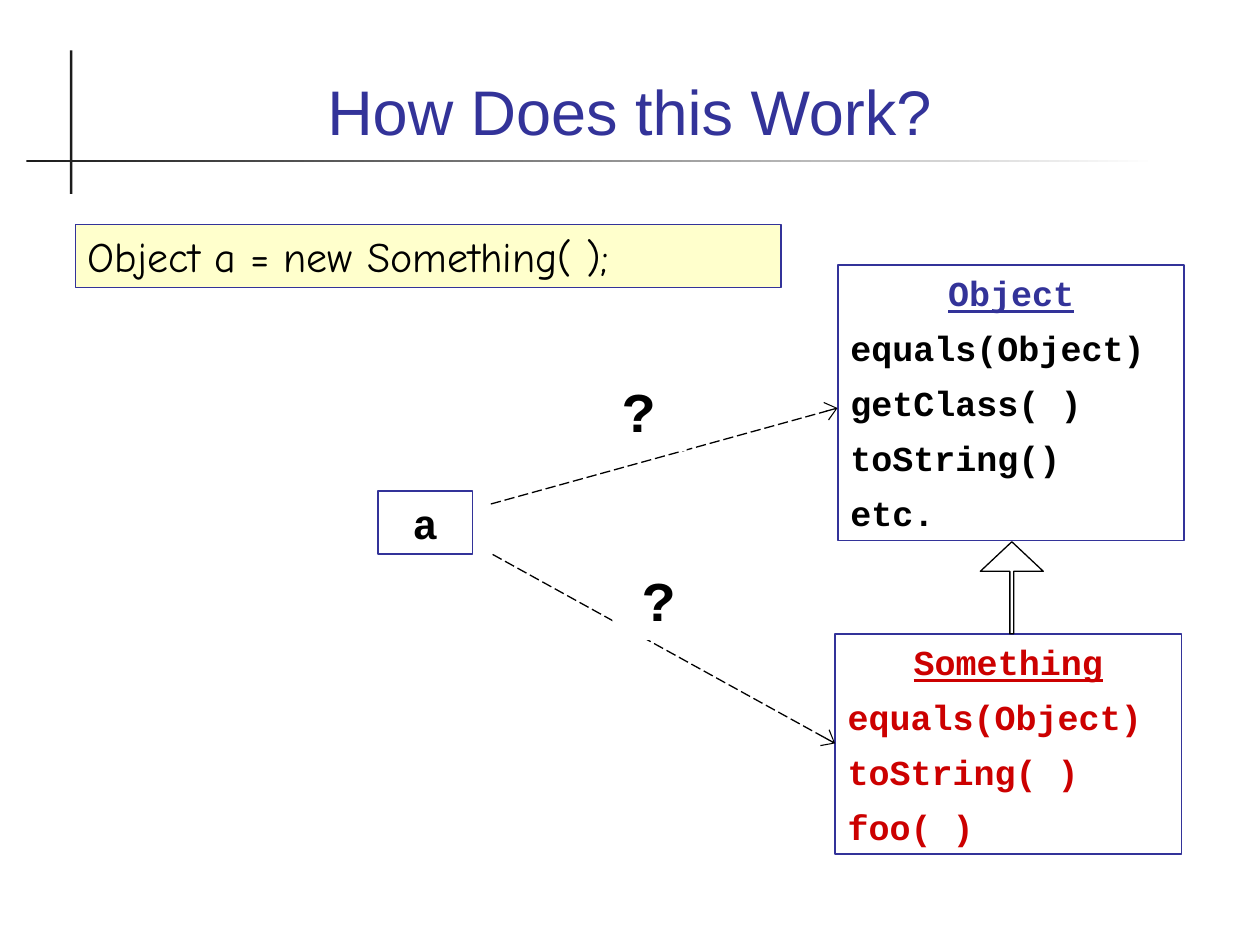
from dataclasses import dataclass

from lxml import etree
from pptx import Presentation
from pptx import util as u
from pptx.dml.color import RGBColor
from pptx.enum import dml, shapes, text
from pptx.oxml.ns import qn

NAVY, RED, BLACK, WHITE = "333399", "CC0000", "000000", "FFFFFF"
DARK, CREAM = "1C1C1C", "FFFFCC"
MONO = "Courier New"


@dataclass
class Box:
    left: float
    top: float
    width: float
    height: float
    lines: list[str]
    size: float
    color: str = BLACK
    head: str = ""  # colour of an underlined heading, if any
    edge: str = NAVY
    fill: str = WHITE
    font: str = MONO
    weight: float = 1
    center: bool = True


@dataclass
class Link:
    x1: float
    y1: float
    x2: float
    y2: float


BOXES = [
    Box(478.8, 151.4, 198, 157.5,
        ["Object", "equals(Object)", "getClass( )", "toString()", "etc."],
        20, head=NAVY),
    Box(477.2, 362.2, 198, 126,
        ["Something", "equals(Object)", "toString( )", "foo( )"],
        20, color=RED, head=RED),
    Box(43.2, 128.2, 403.2, 36, ["Object a = new Something( );"], 24,
        fill=CREAM, font="Comic Neue", weight=0.75, center=False),
    Box(216, 280.8, 54, 36, ["a"], 24),
]
LINKS = [Link(280.5, 288, 478.6, 233.2), Link(281.5, 316.8, 477.2, 424.8)]
MARKS = [Box(left, top, 54, 46, ["?"], 32, edge="")
         for left, top in ((338.4, 211.7), (349.9, 319.7))]


def rgb(code: str) -> RGBColor:
    return RGBColor.from_string(code)


def add_shape(slide, kind, left, top, width, height,
              fill: str = WHITE, edge: str = "", weight: float = 0.75):
    shape = slide.shapes.add_shape(
        kind, u.Pt(left), u.Pt(top), u.Pt(width), u.Pt(height))
    shape.shadow.inherit = False
    shape.fill.solid()
    shape.fill.fore_color.rgb = rgb(fill)
    if edge:
        shape.line.color.rgb = rgb(edge)
        shape.line.width = u.Pt(weight)
    else:
        shape.line.fill.background()
    return shape


def add_box(slide, box: Box) -> None:
    shape = add_shape(slide, shapes.MSO_SHAPE.RECTANGLE, box.left, box.top,
                      box.width, box.height, box.fill, box.edge, box.weight)
    frame = shape.text_frame
    frame.word_wrap = True
    frame.vertical_anchor = text.MSO_ANCHOR.TOP
    frame.text = "\n".join(box.lines)
    for i, para in enumerate(frame.paragraphs):
        first = i == 0
        para.alignment = (text.PP_ALIGN.CENTER if first and box.center
                          else text.PP_ALIGN.LEFT)
        para.space_before = u.Pt(0 if first else 7.5)
        font = para.font
        font.name, font.size = box.font, u.Pt(box.size)
        font.bold = box.font == MONO
        font.underline = first and bool(box.head)
        font.color.rgb = rgb(box.head if first and box.head else box.color)


def add_link(slide, link: Link) -> None:
    """Draw a dashed line with an open arrowhead at its end."""
    line = slide.shapes.add_connector(
        shapes.MSO_CONNECTOR.STRAIGHT,
        u.Pt(link.x1), u.Pt(link.y1), u.Pt(link.x2), u.Pt(link.y2))
    line.line.color.rgb = rgb(BLACK)
    line.line.width = u.Pt(0.75)
    line.line.dash_style = dml.MSO_LINE.LONG_DASH
    props = line.element.spPr
    etree.SubElement(props.find(qn("a:ln")), qn("a:tailEnd"),
                     type="arrow", w="lg", len="med")
    etree.SubElement(props, qn("a:effectLst"))


def add_rules(slide) -> None:
    """Draw the crossed rules around the title."""
    rect = shapes.MSO_SHAPE.RECTANGLE
    add_shape(slide, rect, 40, 28.8, 1.4, 82, DARK)
    rule = add_shape(slide, rect, 15.1, 91.4, 646.6, 1.4)
    rule.fill.gradient()
    rule.fill.gradient_angle = 0
    for stop, code in zip(rule.fill.gradient_stops, (DARK, WHITE)):
        stop.color.rgb = rgb(code)


def add_title(slide, words: str) -> None:
    title = slide.shapes.title
    title.left, title.top = u.Pt(48), u.Pt(19.8)
    title.width, title.height = u.Pt(623.5), u.Pt(68.4)
    frame = title.text_frame
    frame.text = words
    frame.vertical_anchor = text.MSO_ANCHOR.BOTTOM
    para = frame.paragraphs[0]
    para.alignment = text.PP_ALIGN.CENTER
    para.font.name, para.font.size = "Arial", u.Pt(36)
    para.font.color.rgb = rgb(NAVY)


def main() -> None:
    deck = Presentation()
    deck.slide_width, deck.slide_height = u.Pt(720), u.Pt(540)
    slide = deck.slides.add_slide(deck.slide_layouts[5])
    add_rules(slide)
    add_title(slide, "How Does this Work?")
    for box in BOXES:
        add_box(slide, box)
    arrow = add_shape(slide, shapes.MSO_SHAPE.UP_ARROW,
                      560.2, 309.6, 36, 52.6, edge=BLACK)
    arrow.adjustments[0], arrow.adjustments[1] = 0.06, 0.47
    for link in LINKS:
        add_link(slide, link)
    for mark in MARKS:
        add_box(slide, mark)
    deck.save("out.pptx")


if __name__ == "__main__":
    main()
